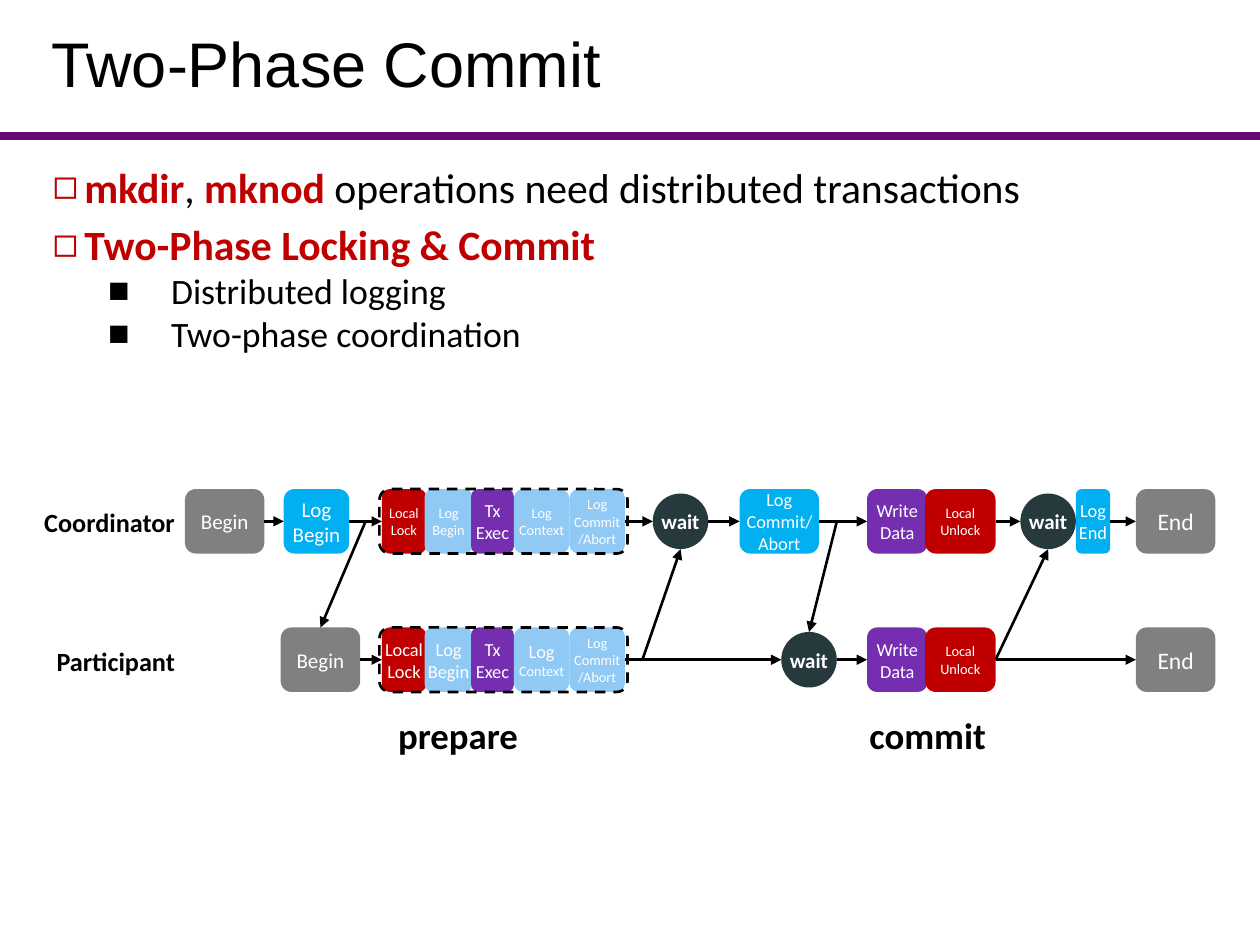
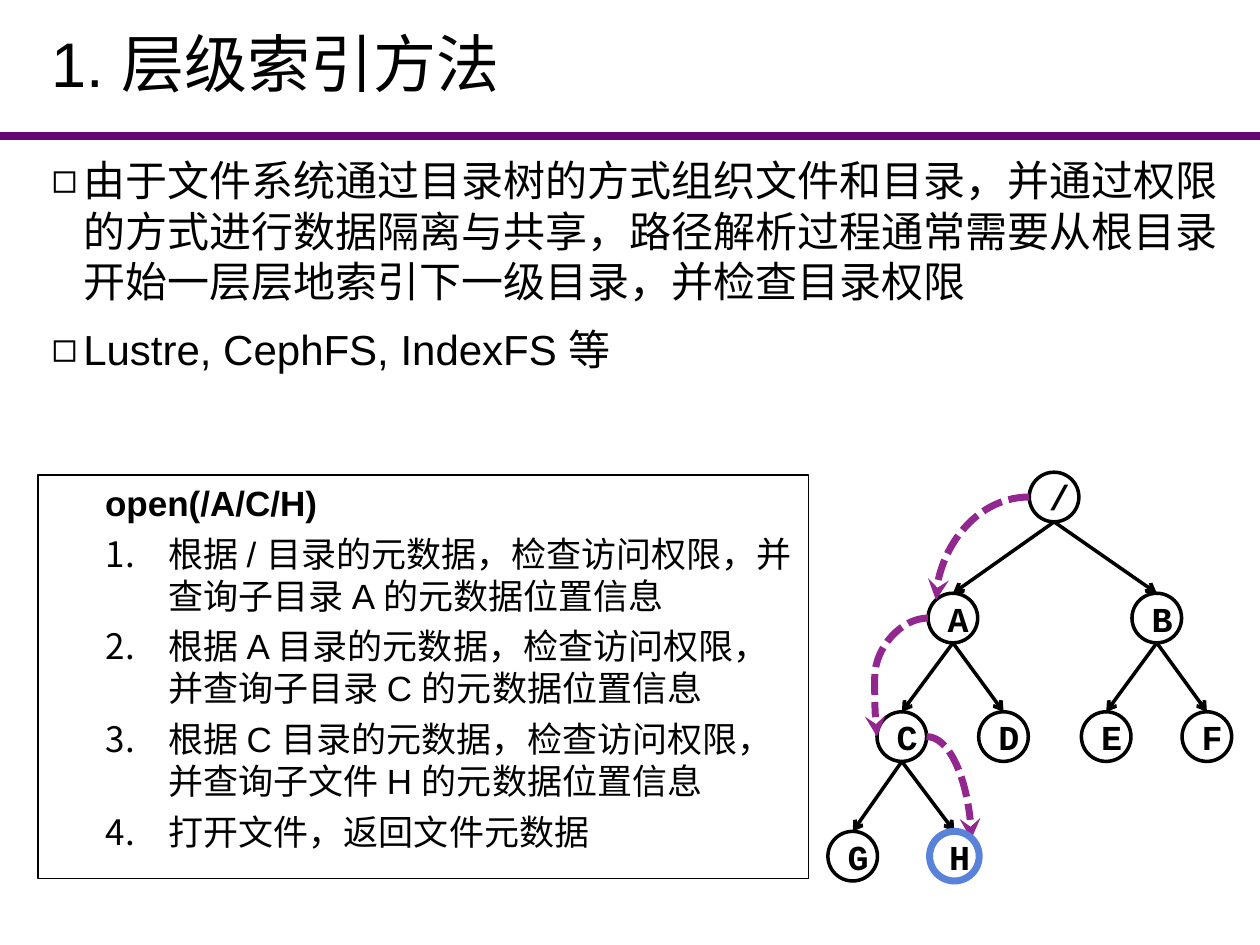
import dataclasses
import itertools
from typing import Any, NamedTuple, Optional

import lxml.etree
import pptx
import pptx.dml.color
import pptx.enum.dml
import pptx.enum.shapes
import pptx.enum.text
import pptx.oxml.ns
import pptx.shapes.autoshape
import pptx.shapes.connector
import pptx.slide
import pptx.text.text
import pptx.util

Cm = pptx.util.Cm
Pt = pptx.util.Pt
SHAPE = pptx.enum.shapes.MSO_SHAPE
CONNECTOR = pptx.enum.shapes.MSO_CONNECTOR
DASH = pptx.enum.dml.MSO_LINE
ALIGN = pptx.enum.text.PP_ALIGN
ANCHOR = pptx.enum.text.MSO_ANCHOR
FIT = pptx.enum.text.MSO_AUTO_SIZE

BLACK, WHITE, PURPLE = "000000", "FFFFFF", "670775"
RED, GRAY, VIOLET = "C00000", "808080", "762EB1"
BLUE, PALE_BLUE, SLATE = "00B0F0", "8FC9F4", "26393D"
LOOKUP, FOUND = "92278F", "5982DB"
TOP, RIGHT = 0, 3
LEFT = 1


class Box(NamedTuple):
    """Place and size in centimetres."""
    left: float
    top: float
    width: float
    height: float


class Run(NamedTuple):
    text: str
    color: str = BLACK
    bold: bool = False


class Bullet(NamedTuple):
    """Bullet character (None: no bullet, "1.": numbering) with indents in centimetres."""
    mark: Optional[str]
    margin: float
    indent: float


class Block(NamedTuple):
    """One step of the protocol; each line of text is a paragraph."""
    text: str
    left: float
    width: float
    fill: str
    size: float
    last_size: Optional[float] = None


class Curve(NamedTuple):
    begin: tuple[float, float]
    end: tuple[float, float]
    preset: str
    bend: Optional[int] = None


@dataclasses.dataclass
class Paragraph:
    runs: list[Run]
    size: float
    font: str = "Calibri"
    bullet: Optional[Bullet] = None
    format: dict[str, Any] = dataclasses.field(default_factory=dict)


TOPIC = Bullet("◻", 0.64, -0.99)
DETAIL = Bullet("■", 2.39, -1.27)
STEP = Bullet("1.", 2.39, -1.27)
CALL = Bullet(None, 1.75, -0.64)

ROW_HEIGHT = 1.3
COORDINATOR_Y, PARTICIPANT_Y = 10.51, 13.3
WAIT_SIZE = 1.12
NODE_SIZE = 1.0


def apply(target: Any, values: dict[str, Any]) -> None:
    for name, value in values.items():
        setattr(target, name, value)


def rgb(color: str) -> pptx.dml.color.RGBColor:
    return pptx.dml.color.RGBColor.from_string(color)


def add_xml(parent: Any, tag: str, **attributes: str) -> Any:
    return lxml.etree.SubElement(parent, pptx.oxml.ns.qn(tag), attributes)


def set_bullet(paragraph: pptx.text.text._Paragraph, bullet: Bullet) -> None:
    properties = paragraph._p.get_or_add_pPr()
    properties.set("marL", str(Cm(bullet.margin)))
    properties.set("indent", str(Cm(bullet.indent)))
    if bullet.mark is None:
        add_xml(properties, "a:buNone")
    elif bullet.mark == "1.":
        add_xml(properties, "a:buFont", typeface="+mj-lt")
        add_xml(properties, "a:buAutoNum", type="arabicPeriod")
    else:
        add_xml(properties, "a:buFont", typeface="Arial")
        add_xml(properties, "a:buChar", char=bullet.mark)


def write(frame: pptx.text.text.TextFrame, paragraphs: list[Paragraph]) -> None:
    for index, content in enumerate(paragraphs):
        paragraph = frame.add_paragraph() if index else frame.paragraphs[0]
        if content.bullet:
            set_bullet(paragraph, content.bullet)
        apply(paragraph, content.format)
        if index == 0:
            paragraph.space_before = Pt(0)
        for part in content.runs:
            run = paragraph.add_run()
            run.text = part.text
            apply(run.font, {"name": content.font, "size": Pt(content.size), "bold": part.bold})
            run.font.color.rgb = rgb(part.color)


def add_text(slide: pptx.slide.Slide, box: Box, paragraphs: list[Paragraph], **frame_format: Any) -> None:
    frame = slide.shapes.add_textbox(*map(Cm, box)).text_frame
    apply(frame, {"word_wrap": True} | frame_format)
    write(frame, paragraphs)


def add_label(slide: pptx.slide.Slide, box: Box, text: str, size: float) -> None:
    add_text(slide, box, [Paragraph([Run(text, bold=True)], size, format={"alignment": ALIGN.CENTER})],
             word_wrap=False, auto_size=FIT.SHAPE_TO_FIT_TEXT)


def add_filled(slide: pptx.slide.Slide, kind: Any, box: Box, fill: str) -> pptx.shapes.autoshape.Shape:
    shape = slide.shapes.add_shape(kind, *map(Cm, box))
    shape.shadow.inherit = False
    shape.fill.solid()
    shape.fill.fore_color.rgb = rgb(fill)
    shape.line.fill.background()
    return shape


def add_outline(slide: pptx.slide.Slide, kind: Any, box: Box, color: str, width: float,
                dash: Any = None) -> pptx.shapes.autoshape.Shape:
    shape = slide.shapes.add_shape(kind, *map(Cm, box))
    shape.shadow.inherit = False
    shape.fill.background()
    shape.line.color.rgb = rgb(color)
    apply(shape.line, {"width": Pt(width), "dash_style": dash})
    return shape


def add_line(slide: pptx.slide.Slide, begin: tuple[float, float], end: tuple[float, float], width: float,
             color: str = BLACK, head: Optional[str] = None, kind: Any = CONNECTOR.STRAIGHT,
             dash: Any = None) -> pptx.shapes.connector.Connector:
    line = slide.shapes.add_connector(kind, *map(Cm, begin + end))
    line.line.color.rgb = rgb(color)
    apply(line.line, {"width": Pt(width), "dash_style": dash})
    properties = line.element.spPr
    if head:
        add_xml(properties.find(pptx.oxml.ns.qn("a:ln")), "a:tailEnd", type=head)
    add_xml(properties, "a:effectLst")
    return line


def start_slide(deck: Any, title: str) -> pptx.slide.Slide:
    """Add a slide with the purple rule and its title."""
    slide = deck.slides.add_slide(deck.slide_layouts[6])
    add_line(slide, (0, 2.74), (25.4, 2.74), 4.5, PURPLE)
    add_text(slide, Box(0.79, 0.23, 24.05, 2.26),
             [Paragraph([Run(title)], 36, "Arial", format={"line_spacing": 0.9})],
             vertical_anchor=ANCHOR.MIDDLE)
    return slide


def add_block(slide: pptx.slide.Slide, block: Block, center_y: float) -> pptx.shapes.autoshape.Shape:
    waiting = block.text == "wait"
    height = WAIT_SIZE if waiting else ROW_HEIGHT
    shape = add_filled(slide, SHAPE.OVAL if waiting else SHAPE.ROUNDED_RECTANGLE,
                       Box(block.left, center_y - height / 2, block.width, height), block.fill)
    apply(shape.text_frame, dict.fromkeys(("margin_left", "margin_top", "margin_right", "margin_bottom"), 0)
          | {"word_wrap": True, "vertical_anchor": ANCHOR.MIDDLE})
    sizes = (block.size, block.last_size or block.size)
    write(shape.text_frame, [Paragraph([Run(line, WHITE, waiting)], size, format={"alignment": ALIGN.CENTER})
                             for line, size in zip(block.text.split("\n"), sizes)])
    return shape


def add_row(slide: pptx.slide.Slide, blocks: list[Block], center_y: float) -> list[pptx.shapes.autoshape.Shape]:
    """Draw the blocks of one role, with an arrow across every gap."""
    shapes = [add_block(slide, block, center_y) for block in blocks]
    add_outline(slide, SHAPE.ROUNDED_RECTANGLE, Box(7.65, center_y - ROW_HEIGHT / 2, 5, ROW_HEIGHT),
                BLACK, 1.5, DASH.DASH)
    for (source, source_shape), (target, target_shape) in itertools.pairwise(zip(blocks, shapes)):
        source_right = source.left + source.width
        if target.left - source_right < 0.1:
            continue
        arrow = add_line(slide, (source_right, center_y), (target.left, center_y), 1.5, head="triangle")
        if source.text != "wait":
            arrow.begin_connect(source_shape, RIGHT)
        if target.text != "wait":
            arrow.end_connect(target_shape, LEFT)
    return shapes


def build_commit(deck: Any) -> None:
    slide = start_slide(deck, "Two-Phase Commit")
    topic_format = {"line_spacing": 0.8, "space_before": Pt(10)}
    detail_format = {"line_spacing": 0.8, "space_before": Pt(5), "level": 1}
    topics = [
        [Run("mkdir", RED, True), Run(", "), Run("mknod", RED, True),
         Run(" operations need distributed transactions")],
        [Run("Two-Phase Locking & Commit", RED, True)],
    ]
    details = ["Distributed logging", "Two-phase coordination"]
    add_text(slide, Box(0.81, 3.33, 24.13, 3.96),
             [Paragraph(runs, 23.8, bullet=TOPIC, format=topic_format) for runs in topics]
             + [Paragraph([Run(text)], 20.4, bullet=DETAIL, format=detail_format) for text in details])

    def prepare(lock_size: float, begin_size: float, context_size: float) -> list[Block]:
        return [Block("Local\nLock", 7.7, 0.89, RED, lock_size),
                Block("Log\nBegin", 8.56, 0.97, PALE_BLUE, begin_size),
                Block("Tx\nExec", 9.5, 0.86, VIOLET, 10.5),
                Block("Log\nContext", 10.36, 1.12, PALE_BLUE, context_size, 8.2),
                Block("Log\nCommit/Abort", 11.48, 1.12, PALE_BLUE, 8.2)]

    commit = [Block("Write Data", 17.48, 1.22, VIOLET, 10.5), Block("Local\nUnlock", 18.65, 1.42, RED, 8.2)]
    end = Block("End", 22.9, 1.6, GRAY, 13.5)
    coordinator = [
        Block("Begin", 3.73, 1.6, GRAY, 12), Block("Log\nBegin", 5.72, 1.32, BLUE, 12),
        *prepare(8.2, 8.2, 8.2),
        Block("wait", 13.16, WAIT_SIZE, SLATE, 12), Block("Log\nCommit/Abort", 14.91, 1.6, BLUE, 10.5),
        *commit,
        Block("wait", 20.57, WAIT_SIZE, SLATE, 12), Block("Log\nEnd", 21.69, 0.69, BLUE, 10.5), end]
    participant = [
        Block("Begin", 5.66, 1.6, GRAY, 12), *prepare(10.5, 10.5, 10.5),
        Block("wait", 15.75, WAIT_SIZE, SLATE, 12), *commit, end]
    add_row(slide, coordinator, COORDINATOR_Y)
    participant_shapes = add_row(slide, participant, PARTICIPANT_Y)
    participant_begin, participant_unlock = participant_shapes[0], participant_shapes[-2]

    wait_bottom = COORDINATOR_Y + WAIT_SIZE / 2
    messages = [((7.37, COORDINATOR_Y), (6.46, PARTICIPANT_Y - ROW_HEIGHT / 2)),
                ((12.95, PARTICIPANT_Y), (13.72, wait_bottom)),
                ((16.87, COORDINATOR_Y), (16.31, PARTICIPANT_Y - WAIT_SIZE / 2)),
                ((20.07, PARTICIPANT_Y), (21.13, wait_bottom))]
    arrows = [add_line(slide, *ends, 1.5, head="triangle") for ends in messages]
    arrows[0].end_connect(participant_begin, TOP)
    arrows[-1].begin_connect(participant_unlock, RIGHT)

    add_label(slide, Box(0.61, 10.08, 3.2, 0.89), "Coordinator", 15)
    add_label(slide, Box(0.86, 12.88, 2.95, 0.89), "Participant", 15)
    add_label(slide, Box(7.75, 14.25, 2.97, 1.14), "prepare", 21)
    add_label(slide, Box(17.25, 14.25, 2.9, 1.14), "commit", 21)


def add_node(slide: pptx.slide.Slide, name: str, center: tuple[float, float], color: str, width: float) -> None:
    x, y = center
    node = add_outline(slide, SHAPE.OVAL, Box(x - NODE_SIZE / 2, y - NODE_SIZE / 2, NODE_SIZE, NODE_SIZE),
                       color, width)
    node.text_frame.vertical_anchor = ANCHOR.MIDDLE
    write(node.text_frame, [Paragraph([Run(name, bold=True)], 20, "Courier New",
                                      format={"alignment": ALIGN.CENTER})])


def add_curve(slide: pptx.slide.Slide, curve: Curve) -> None:
    line = add_line(slide, curve.begin, curve.end, 4, LOOKUP, "stealth", CONNECTOR.CURVE, DASH.SQUARE_DOT)
    geometry = line.element.spPr.find(pptx.oxml.ns.qn("a:prstGeom"))
    geometry.set("prst", curve.preset)
    if curve.bend:
        add_xml(geometry.find(pptx.oxml.ns.qn("a:avLst")), "a:gd", name="adj1", fmla=f"val {curve.bend}")


def build_index(deck: Any) -> None:
    slide = start_slide(deck, "1. 层级索引方法")
    topics = ["由于文件系统通过目录树的方式组织文件和目录，并通过权限的方式进行数据隔离与共享，"
              "路径解析过程通常需要从根目录开始一层层地索引下一级目录，并检查目录权限",
              "Lustre, CephFS, IndexFS 等"]
    add_text(slide, Box(0.79, 3, 24.05, 14.17),
             [Paragraph([Run(text)], 24, "Arial", TOPIC, {"space_before": Pt(10)}) for text in topics])

    levels = [(10.02, {"/": 21.25}), (12.46, {"A": 19.21, "B": 23.32}),
              (14.85, {"C": 18.18, "D": 20.23, "E": 22.3, "F": 24.33}), (17.26, {"G": 17.19, "H": 19.24})]
    centers = {name: (x, y) for y, row in levels for name, x in row.items()}
    children = {"/": "AB", "A": "CD", "B": "EF", "C": "GH"}
    for name, center in centers.items():
        if name != "H":
            add_node(slide, name, center, BLACK, 2)
    for parent, names in children.items():
        for child in names:
            (parent_x, parent_y), (child_x, child_y) = centers[parent], centers[child]
            add_line(slide, (parent_x, parent_y + NODE_SIZE / 2), (child_x, child_y - NODE_SIZE / 2), 2,
                     head="arrow")
    for curve in (Curve((20.75, 10.02), (18.87, 12.1), "curvedConnector2"),
                  Curve((18.71, 12.46), (17.68, 14.85), "curvedConnector3", 104400),
                  Curve((18.68, 14.85), (19.58, 16.92), "curvedConnector2")):
        add_curve(slide, curve)
    add_node(slide, "H", centers["H"], FOUND, 4)

    steps = ["根据 / 目录的元数据，检查访问权限，并查询子目录 A 的元数据位置信息",
             "根据 A 目录的元数据，检查访问权限，并查询子目录 C 的元数据位置信息",
             "根据 C 目录的元数据，检查访问权限，并查询子文件 H 的元数据位置信息",
             "打开文件，返回文件元数据"]
    step_format = {"alignment": ALIGN.LEFT, "space_before": Pt(5), "level": 1}
    lookup = add_outline(slide, SHAPE.RECTANGLE, Box(0.76, 9.58, 15.54, 8.13), BLACK, 1)
    apply(lookup.text_frame, {"word_wrap": True, "vertical_anchor": ANCHOR.TOP})
    write(lookup.text_frame,
          [Paragraph([Run("open(/A/C/H)", bold=True)], 20, "Arial", CALL, step_format)]
          + [Paragraph([Run(text)], 20, "Arial", STEP, step_format) for text in steps])


def main() -> None:
    deck = pptx.Presentation()
    apply(deck, {"slide_width": Cm(25.4), "slide_height": Cm(19.05)})
    build_commit(deck)
    build_index(deck)
    deck.save("out.pptx")


if __name__ == "__main__":
    main()
